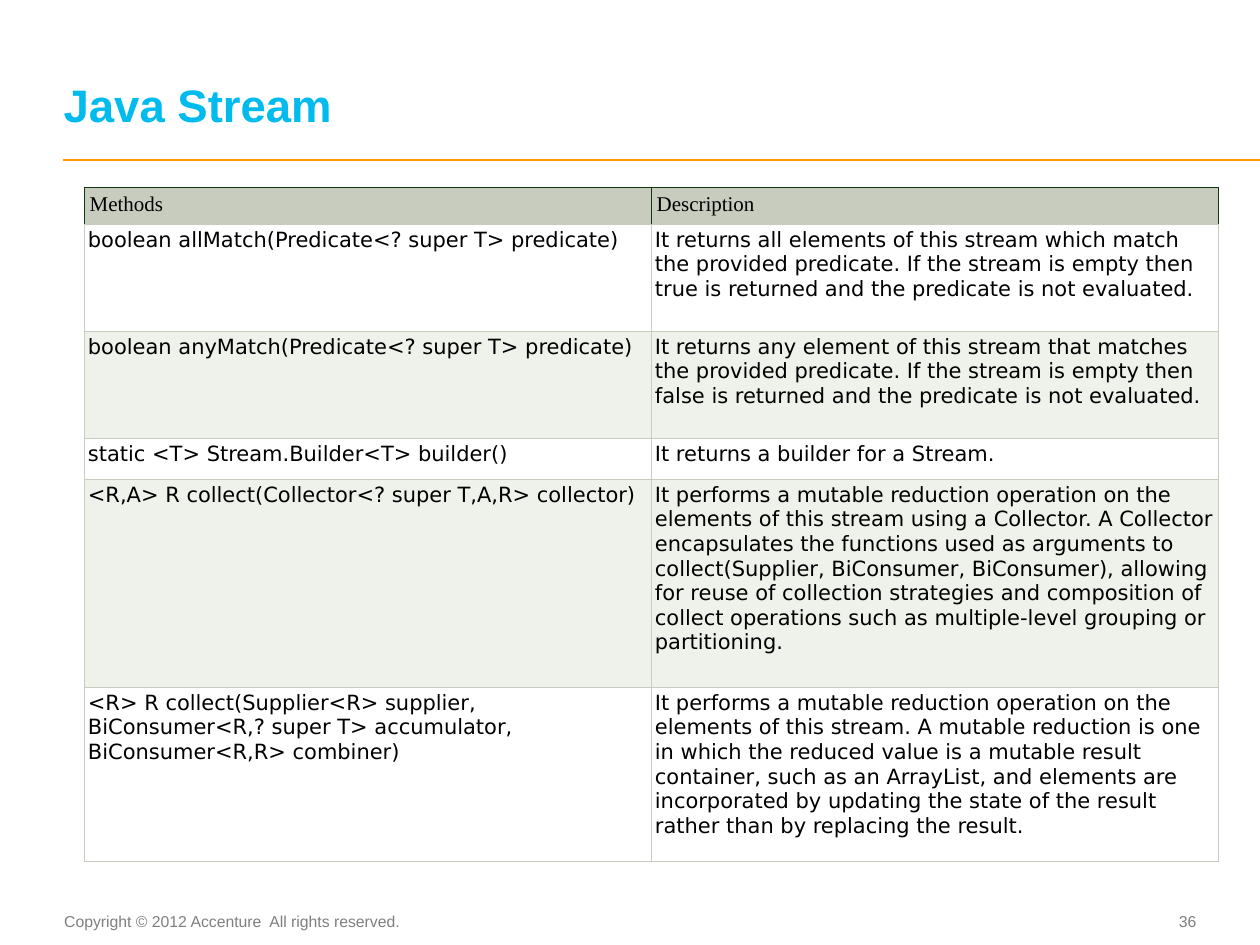
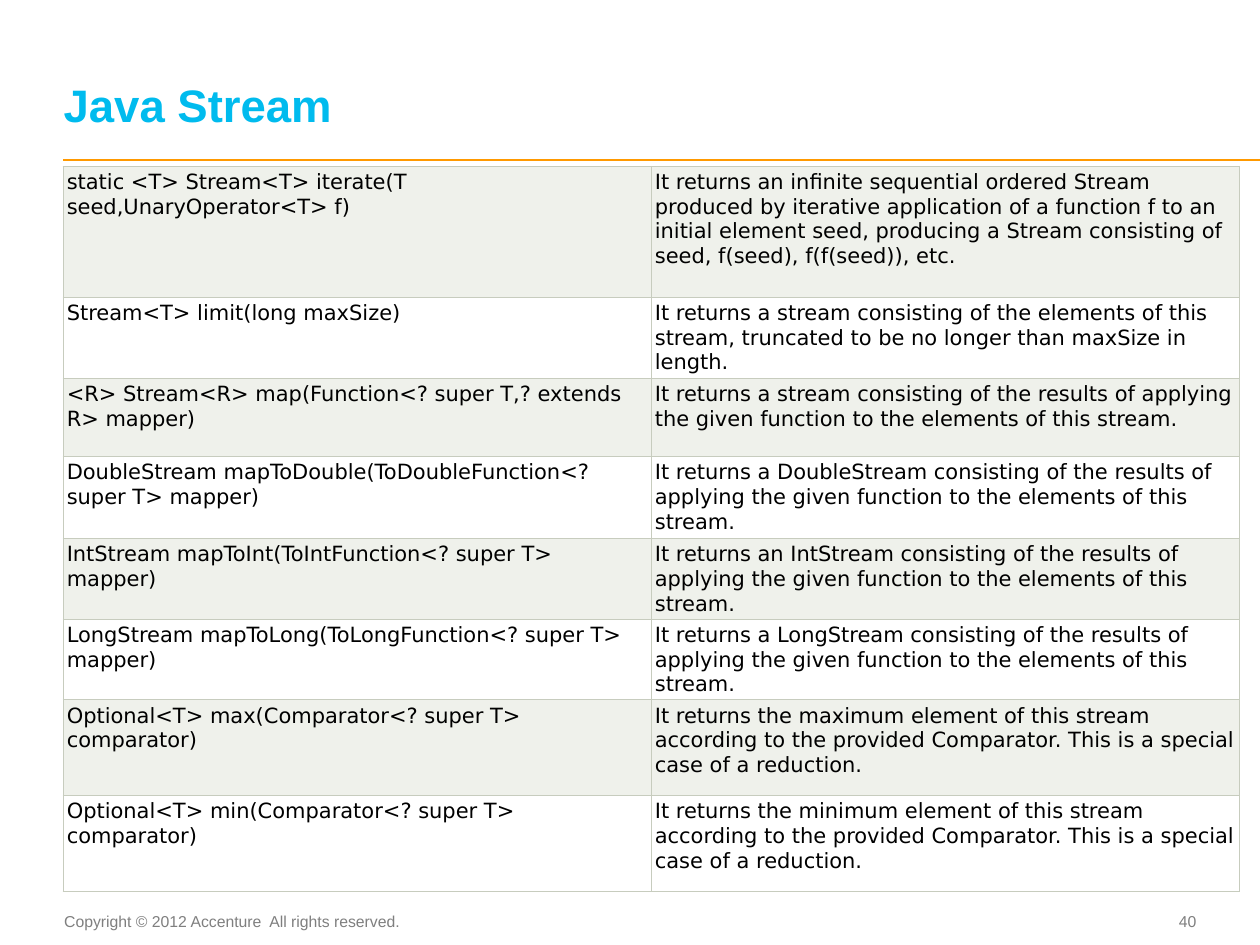
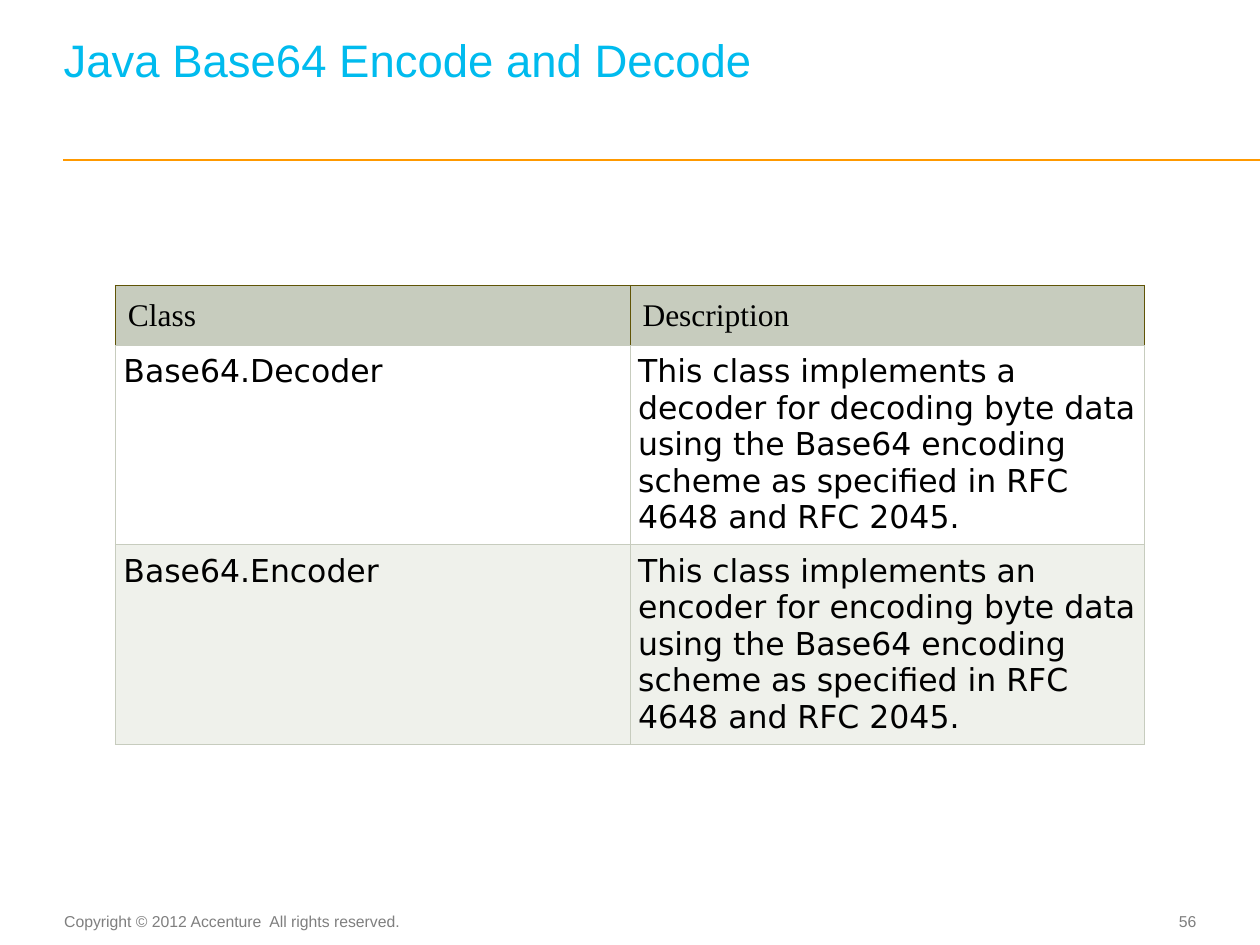
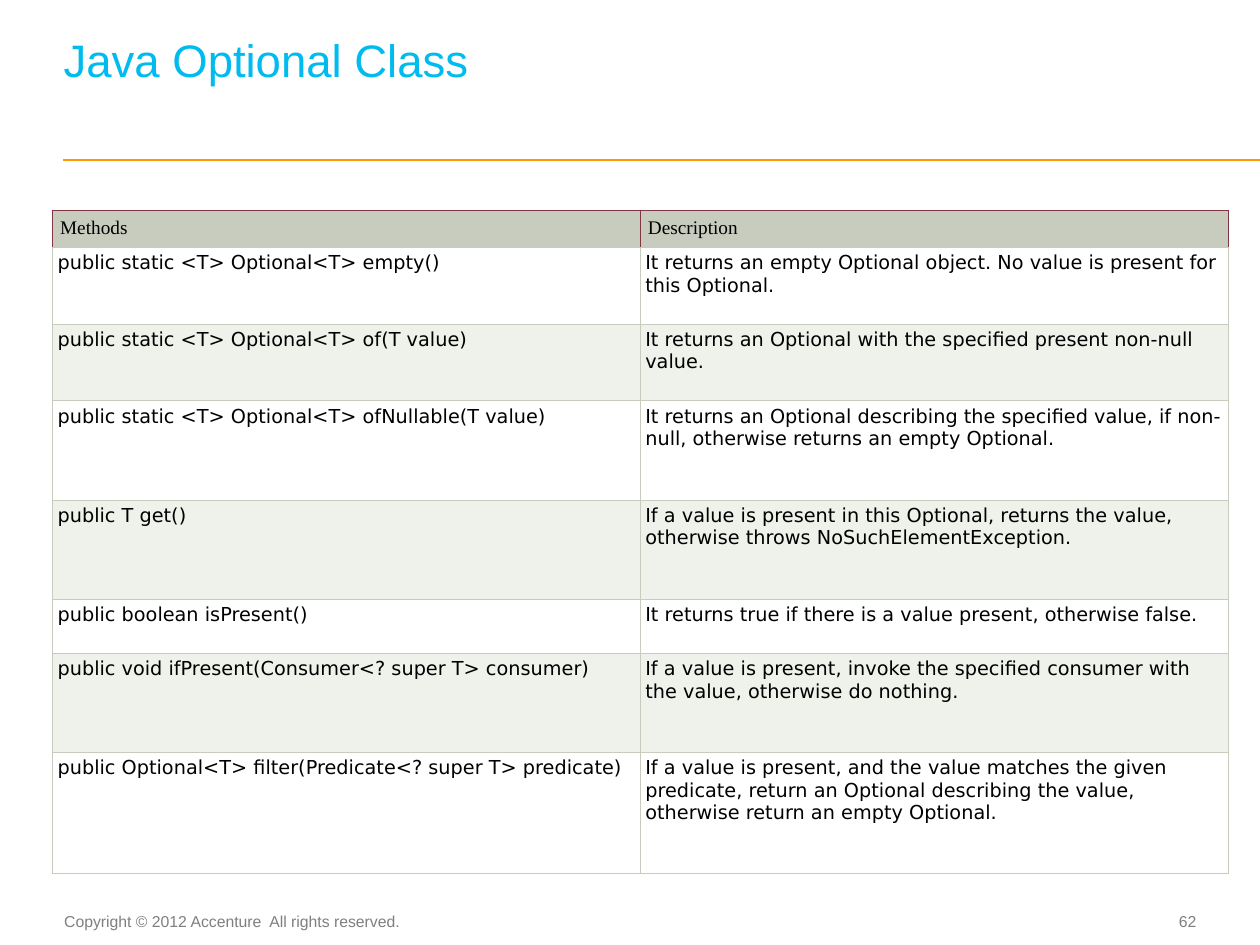
from dataclasses import dataclass
from typing import Optional

from lxml.etree import SubElement
from pptx import Presentation
from pptx.dml.color import RGBColor
from pptx.enum.shapes import MSO_CONNECTOR
from pptx.enum.text import MSO_ANCHOR, MSO_AUTO_SIZE, PP_ALIGN
from pptx.oxml import parse_xml
from pptx.oxml.ns import nsdecls, qn
from pptx.util import Emu, Inches, Pt

WIDTH, HEIGHT = Inches(10), Inches(7.5)
COLUMNS, ROWS = 100, 75

TITLE_BLUE = RGBColor(0x00, 0xBB, 0xEE)
RULE_ORANGE = RGBColor(0xFF, 0x99, 0x00)
FOOTER_GRAY = RGBColor(0x7F, 0x7F, 0x7F)
BLACK = RGBColor(0x00, 0x00, 0x00)
WHITE = RGBColor(0xFF, 0xFF, 0xFF)
BAND = RGBColor(0xEF, 0xF1, 0xEB)
SAGE = RGBColor(0xC7, 0xCC, 0xBE)
GREEN = RGBColor(0x10, 0x38, 0x0F)
OLIVE = RGBColor(0x60, 0x54, 0x06)
WINE = RGBColor(0x80, 0x37, 0x40)

SANS, BODY_FONT, HEADER_FONT = "Arial", "DejaVu Sans", "Times New Roman"
TITLE_SIZE, FOOTER_SIZE = 26, 9
BORDER_WIDTH = 0.6
COPYRIGHT = "Copyright © 2012 Accenture  All rights reserved."


@dataclass(frozen=True)
class Box:
    left: float
    top: float
    width: float
    height: float

    def place(self) -> tuple:
        return col(self.left), row(self.top), col(self.width), row(self.height)


@dataclass(frozen=True)
class Header:
    labels: tuple
    line: RGBColor
    inset: float


@dataclass(frozen=True)
class TablePage:
    title: str
    number: int
    left: float
    top: float
    width: float
    heights: tuple
    size: int
    inset: float
    entries: tuple
    header: Optional[Header] = None
    bold: bool = False
    raised: bool = False


TITLE_BOX = Box(5.05, 1.85, 89.7, 8.6)
COPYRIGHT_BOX = Box(4.85, 71.9, 28.1, 2.5)
NUMBER_BOX = Box(89.05, 71.8, 5.9, 2.7)
RULE_LEFT, RULE_TOP = 5, 12.7


def col(n: float) -> Emu:
    return Emu(round(WIDTH * n / COLUMNS))


def row(n: float) -> Emu:
    return Emu(round(HEIGHT * n / ROWS))


def set_margins(target, left: float, top: float, right: float, bottom: float) -> None:
    target.margin_left, target.margin_right = col(left), col(right)
    target.margin_top, target.margin_bottom = row(top), row(bottom)


def format_text(tf, font: str, size: int, color: RGBColor, align=PP_ALIGN.LEFT, bold: bool = False) -> None:
    for p in tf.paragraphs:
        p.alignment = align
        for r in p.runs:
            r.font.name, r.font.size, r.font.bold = font, Pt(size), bold
            r.font.color.rgb = color


def add_title(s, page: TablePage) -> None:
    sp = s.shapes.title
    sp.left, sp.top, sp.width, sp.height = TITLE_BOX.place()
    tf = sp.text_frame
    tf.text = page.title
    tf.word_wrap, tf.auto_size = True, MSO_AUTO_SIZE.NONE
    tf.vertical_anchor = MSO_ANCHOR.BOTTOM
    set_margins(tf, 0, 0, 0, 0)
    if page.raised:
        tf.margin_bottom = Pt(TITLE_SIZE)
    tf.paragraphs[0].line_spacing = Pt(TITLE_SIZE)
    format_text(tf, SANS, TITLE_SIZE, TITLE_BLUE, bold=page.bold)


def add_rule(s) -> None:
    line = s.shapes.add_connector(
        MSO_CONNECTOR.STRAIGHT, col(RULE_LEFT), row(RULE_TOP), WIDTH, row(RULE_TOP))
    line.line.color.rgb, line.line.width = RULE_ORANGE, Pt(1)
    SubElement(line._element.spPr, qn("a:effectLst"))


def add_footer(s, number: int) -> None:
    tf = s.shapes.add_textbox(*COPYRIGHT_BOX.place()).text_frame
    tf.text = COPYRIGHT
    tf.word_wrap, tf.auto_size = False, MSO_AUTO_SIZE.SHAPE_TO_FIT_TEXT
    set_margins(tf, 0, 0.5, 1, 0.5)
    format_text(tf, SANS, FOOTER_SIZE, FOOTER_GRAY, PP_ALIGN.CENTER)

    tf = s.shapes.add_textbox(*NUMBER_BOX.place()).text_frame
    tf.text = str(number)
    tf.word_wrap, tf.vertical_anchor = True, MSO_ANCHOR.MIDDLE
    set_margins(tf, 0, 0, 0, 0)
    format_text(tf, SANS, FOOTER_SIZE, FOOTER_GRAY, PP_ALIGN.RIGHT)


def set_borders(cell, color: RGBColor) -> None:
    tc_pr = cell._tc.get_or_add_tcPr()
    edges = {"lnL": color, "lnR": color, "lnT": color, "lnB": SAGE}
    for i, (edge, rgb) in enumerate(edges.items()):
        tc_pr.insert(i, parse_xml(
            f'<a:{edge} {nsdecls("a")} w="{Pt(BORDER_WIDTH)}"><a:solidFill>'
            f'<a:srgbClr val="{rgb}"/></a:solidFill></a:{edge}>'))


def fill_cell(cell, text: str, font: str, size: int, inset: float, fill: RGBColor, border: RGBColor) -> None:
    cell.text = text
    set_margins(cell, inset, inset, inset, 0)
    cell.fill.solid()
    cell.fill.fore_color.rgb = fill
    set_borders(cell, border)
    format_text(cell.text_frame, font, size, BLACK)


def add_method_table(s, page: TablePage) -> None:
    header = page.header
    lines = ((header.labels,) if header else ()) + page.entries
    box = Box(page.left, page.top, page.width, sum(page.heights))
    table = s.shapes.add_table(len(lines), 2, *box.place()).table
    table.first_row = table.horz_banding = False
    for i, (texts, height) in enumerate(zip(lines, page.heights)):
        table.rows[i].height = row(height)
        for cell, text in zip(table.rows[i].cells, texts):
            if header and i == 0:
                fill_cell(cell, text, HEADER_FONT, page.size, header.inset, SAGE, header.line)
            else:
                fill = WHITE if i % 2 else BAND
                fill_cell(cell, text, BODY_FONT, page.size, page.inset, fill, SAGE)


MAPPED = "consisting of the results of applying the given function to the elements of this stream."
EXTREME = "element of this stream according to the provided Comparator. This is a special case of a reduction."
MUTABLE = "It performs a mutable reduction operation on the elements of this stream"
BASE64 = "byte data using the Base64 encoding scheme as specified in RFC 4648 and RFC 2045."

PAGES = (
    TablePage(
        "Java Stream", 36, 6.7, 14.87, 90, (2.92, 8.5, 8.5, 3.25, 16.5, 13.8), 12, 0.28,
        (
            ("boolean allMatch(Predicate<? super T> predicate)",
             "It returns all elements of this stream which match the provided predicate. "
             "If the stream is empty then true is returned and the predicate is not evaluated."),
            ("boolean anyMatch(Predicate<? super T> predicate)",
             "It returns any element of this stream that matches the provided predicate. "
             "If the stream is empty then false is returned and the predicate is not evaluated."),
            ("static <T> Stream.Builder<T> builder()", "It returns a builder for a Stream."),
            ("<R,A> R collect(Collector<? super T,A,R> collector)",
             f"{MUTABLE} using a Collector. A Collector encapsulates the functions used as arguments "
             "to collect(Supplier, BiConsumer, BiConsumer), allowing for reuse of collection strategies "
             "and composition of collect operations such as multiple-level grouping or partitioning."),
            ("<R> R collect(Supplier<R> supplier, BiConsumer<R,? super T> accumulator, "
             "BiConsumer<R,R> combiner)",
             f"{MUTABLE}. A mutable reduction is one in which the reduced value is a mutable result "
             "container, such as an ArrayList, and elements are incorporated by updating the state "
             "of the result rather than by replacing the result."),
        ),
        header=Header(("Methods", "Description"), GREEN, 0.42), bold=True),
    TablePage(
        "Java Stream", 40, 5, 13.2, 93.35, (10.4, 6.45, 6.2, 6.5, 6.4, 6.4, 7.6, 7.6), 12, 0.3,
        (
            ("static <T> Stream<T> iterate(T seed,UnaryOperator<T> f)",
             "It returns an infinite sequential ordered Stream produced by iterative application of a "
             "function f to an initial element seed, producing a Stream consisting of seed, f(seed), "
             "f(f(seed)), etc."),
            ("Stream<T> limit(long maxSize)",
             "It returns a stream consisting of the elements of this stream, truncated to be no longer "
             "than maxSize in length."),
            ("<R> Stream<R> map(Function<? super T,? extends R> mapper)", f"It returns a stream {MAPPED}"),
            ("DoubleStream mapToDouble(ToDoubleFunction<? super T> mapper)",
             f"It returns a DoubleStream {MAPPED}"),
            ("IntStream mapToInt(ToIntFunction<? super T> mapper)", f"It returns an IntStream {MAPPED}"),
            ("LongStream mapToLong(ToLongFunction<? super T> mapper)", f"It returns a LongStream {MAPPED}"),
            ("Optional<T> max(Comparator<? super T> comparator)", f"It returns the maximum {EXTREME}"),
            ("Optional<T> min(Comparator<? super T> comparator)", f"It returns the minimum {EXTREME}"),
        ),
        bold=True),
    TablePage(
        "Java Base64 Encode and Decode", 56, 9.15, 22.65, 81.7, (4.75, 15.85, 15.8), 18, 0.65,
        (
            ("Base64.Decoder", f"This class implements a decoder for decoding {BASE64}"),
            ("Base64.Encoder", f"This class implements an encoder for encoding {BASE64}"),
        ),
        header=Header(("Class", "Description"), OLIVE, 1), raised=True),
    TablePage(
        "Java Optional Class", 62, 4.2, 16.67, 93.3, (2.95, 6.1, 6.1, 7.87, 7.87, 4.3, 7.87, 9.6), 11, 0.37,
        (
            ("public static <T> Optional<T> empty()",
             "It returns an empty Optional object. No value is present for this Optional."),
            ("public static <T> Optional<T> of(T value)",
             "It returns an Optional with the specified present non-null value."),
            ("public static <T> Optional<T> ofNullable(T value)",
             "It returns an Optional describing the specified value, if non-null, otherwise returns "
             "an empty Optional."),
            ("public T get()",
             "If a value is present in this Optional, returns the value, otherwise throws "
             "NoSuchElementException."),
            ("public boolean isPresent()", "It returns true if there is a value present, otherwise false."),
            ("public void ifPresent(Consumer<? super T> consumer)",
             "If a value is present, invoke the specified consumer with the value, otherwise do nothing."),
            ("public Optional<T> filter(Predicate<? super T> predicate)",
             "If a value is present, and the value matches the given predicate, return an Optional "
             "describing the value, otherwise return an empty Optional."),
        ),
        header=Header(("Methods", "Description"), WINE, 0.57), raised=True),
)


def main() -> None:
    prs = Presentation()
    prs.slide_width, prs.slide_height = WIDTH, HEIGHT
    title_only = prs.slide_layouts.get_by_name("Title Only")
    for page in PAGES:
        s = prs.slides.add_slide(title_only)
        add_rule(s)
        add_footer(s, page.number)
        add_title(s, page)
        add_method_table(s, page)
    prs.save("out.pptx")


if __name__ == "__main__":
    main()
